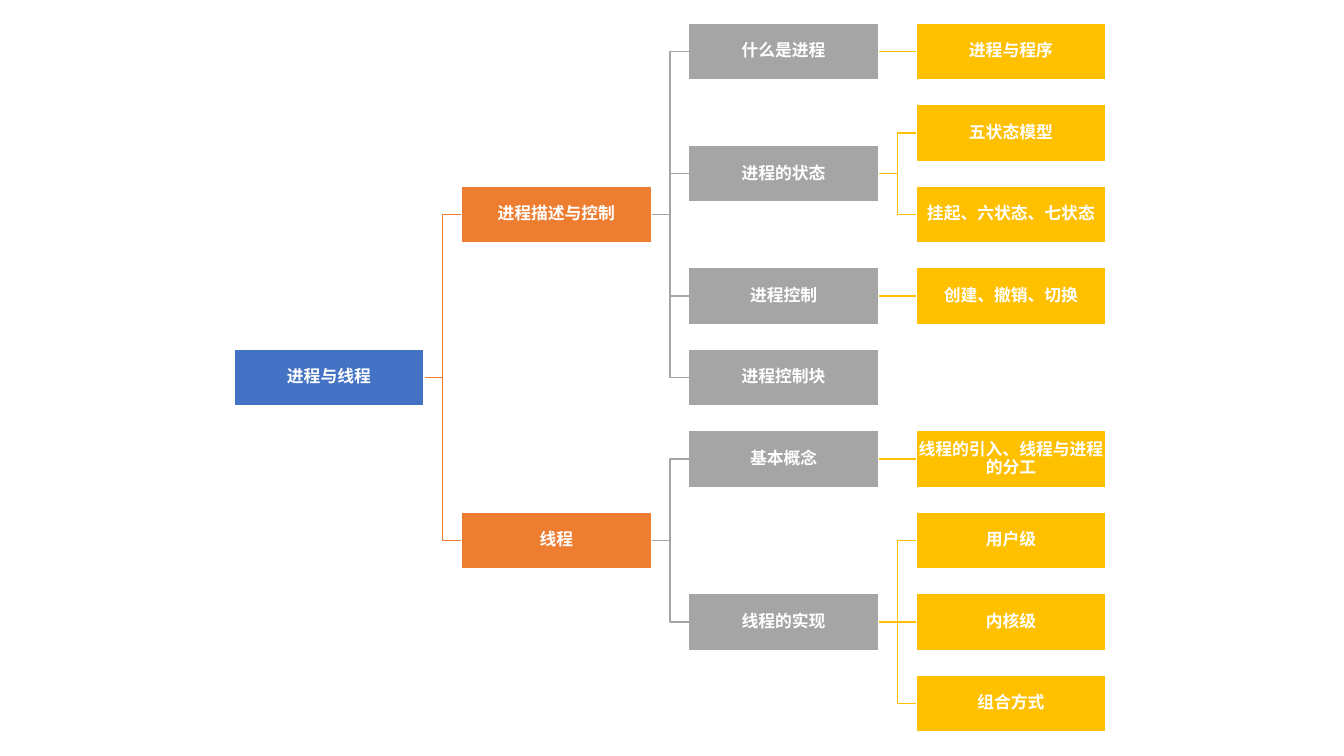
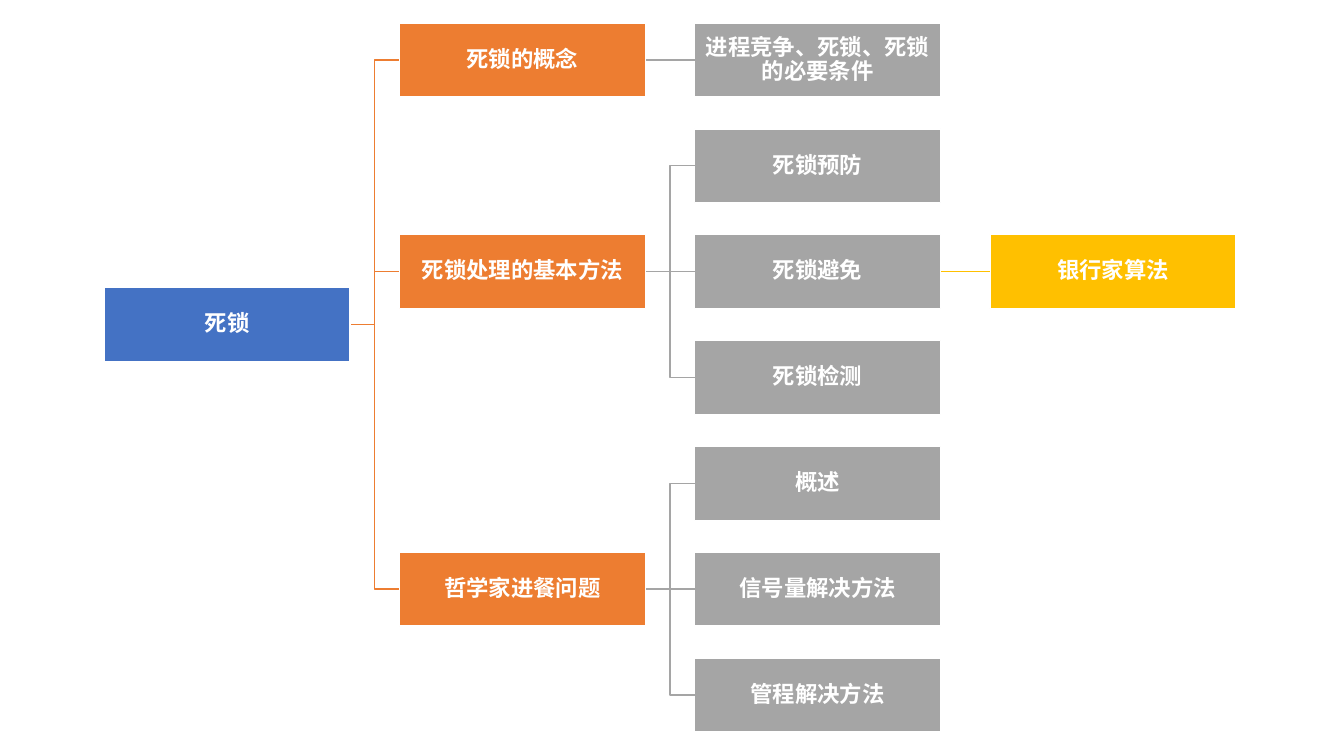
from dataclasses import dataclass

from lxml import etree
from pptx import Presentation
from pptx.dml.color import RGBColor
from pptx.enum.shapes import MSO_CONNECTOR, MSO_SHAPE
from pptx.enum.text import MSO_ANCHOR, PP_ALIGN
from pptx.oxml.ns import qn
from pptx.util import Emu, Pt

RECTANGLE = MSO_SHAPE.RECTANGLE
STRAIGHT = MSO_CONNECTOR.STRAIGHT
ELBOW = MSO_CONNECTOR.ELBOW
MIDDLE = MSO_ANCHOR.MIDDLE
CENTER = PP_ALIGN.CENTER

PAGE_WIDTH, PAGE_HEIGHT = 1344, 756
SCALE = 12192000 / PAGE_WIDTH
LEFT_SIDE, RIGHT_SIDE = 1, 3
BLANK_LAYOUT = 6


def px(length):
    return Emu(round(length * SCALE))


def color(value):
    return RGBColor.from_string(value)


@dataclass(frozen=True)
class Theme:
    levels: tuple = ("4472C4", "ED7D31", "A5A5A5", "FFC000")
    white: str = "FFFFFF"
    font: str = "Noto Sans CJK SC"
    small: int = 12
    large: int = 16
    line_width: int = 1
    line_spacing: float = 0.9
    space_after: float = 0.35
    inset: int = 1


@dataclass(frozen=True)
class Grid:
    first_left: int
    last_left: int
    first_top: int
    last_top: int
    box_width: int
    box_height: int
    rows: int
    text_size: int

    def place(self, level, row):
        column_step = (self.last_left - self.first_left) / (len(THEME.levels) - 1)
        row_step = (self.last_top - self.first_top) / (self.rows - 1)
        return self.first_left + level * column_step, self.first_top + row * row_step


THEME = Theme()

PROCESS_GRID = Grid(234, 916, 23, 675, 190, 57, 9, THEME.small)
PROCESS_TREE = ("进程与线程", [
    ("进程描述与控制", [
        ("什么是进程", [("进程与程序", [])]),
        ("进程的状态", [("五状态模型", []), ("挂起、六状态、七状态", [])]),
        ("进程控制", [("创建、撤销、切换", [])]),
        ("进程控制块", []),
    ]),
    ("线程", [
        ("基本概念", [("线程的引入、线程与进程的分工", [])]),
        ("线程的实现", [("用户级", []), ("内核级", []), ("组合方式", [])]),
    ]),
])

DEADLOCK_GRID = Grid(104, 990, 23, 658, 246, 74, 7, THEME.large)
DEADLOCK_TREE = ("死锁", [
    ("死锁的概念", [("进程竞争、死锁、死锁的必要条件", [])]),
    ("死锁处理的基本方法", [
        ("死锁预防", []),
        ("死锁避免", [("银行家算法", [])]),
        ("死锁检测", []),
    ]),
    ("哲学家进餐问题", [
        ("概述", []),
        ("信号量解决方法", []),
        ("管程解决方法", []),
    ]),
])


class TreeDeck:
    def __init__(self, theme):
        self.theme = theme
        self.deck = Presentation()
        self.deck.slide_width = px(PAGE_WIDTH)
        self.deck.slide_height = px(PAGE_HEIGHT)
        self.page = None

    def add_page(self):
        self.page = self.deck.slides.add_slide(self.deck.slide_layouts[BLANK_LAYOUT])

    def box(self, text, level, row, grid):
        left, top = grid.place(level, row)
        box = self.page.shapes.add_shape(
            RECTANGLE, px(left), px(top), px(grid.box_width), px(grid.box_height))
        box.shadow.inherit = False
        box.fill.solid()
        box.fill.fore_color.rgb = color(self.theme.levels[level])
        box.line.color.rgb = color(self.theme.white)
        box.line.width = Pt(self.theme.line_width)
        self.label(box.text_frame, text, grid.text_size)
        return box

    def label(self, frame, text, size):
        frame.text = text
        frame.word_wrap = True
        frame.vertical_anchor = MIDDLE
        frame.margin_left = frame.margin_right = px(self.theme.inset)
        frame.margin_top = frame.margin_bottom = px(self.theme.inset)
        para = frame.paragraphs[0]
        para.alignment = CENTER
        para.line_spacing = self.theme.line_spacing
        para.space_after = Pt(size * self.theme.space_after)
        span = para.runs[0]
        span.font.size = Pt(size)
        span.font.bold = True
        span.font.color.rgb = color(self.theme.white)
        span.font.name = self.theme.font
        east_asian = etree.SubElement(span.font._element, qn("a:ea"))
        east_asian.set("typeface", self.theme.font)

    def branch(self, parent, child, level, kind):
        line = self.page.shapes.add_connector(kind, 0, 0, 0, 0)
        line.begin_connect(parent, RIGHT_SIDE)
        line.end_connect(child, LEFT_SIDE)
        line.line.color.rgb = color(self.theme.levels[level])
        line.line.width = Pt(self.theme.line_width)
        etree.SubElement(line.element.spPr, qn("a:effectLst"))
        parent.element.addprevious(line.element)

    def tree(self, node, grid, level=0, first_row=0):
        text, children = node
        next_row = first_row
        placed = []
        for child in children:
            child_box, child_row, next_row = self.tree(child, grid, level + 1, next_row)
            placed.append((child_box, child_row))
        if placed:
            row = (placed[0][1] + placed[-1][1]) / 2
        else:
            row, next_row = first_row, first_row + 1
        box = self.box(text, level, row, grid)
        for child_box, child_row in placed:
            kind = STRAIGHT if child_row == row else ELBOW
            self.branch(box, child_box, level + 1, kind)
        return box, row, next_row


def main():
    slides = TreeDeck(THEME)
    for tree, grid in ((PROCESS_TREE, PROCESS_GRID), (DEADLOCK_TREE, DEADLOCK_GRID)):
        slides.add_page()
        slides.tree(tree, grid)
    slides.deck.save("out.pptx")


if __name__ == "__main__":
    main()
